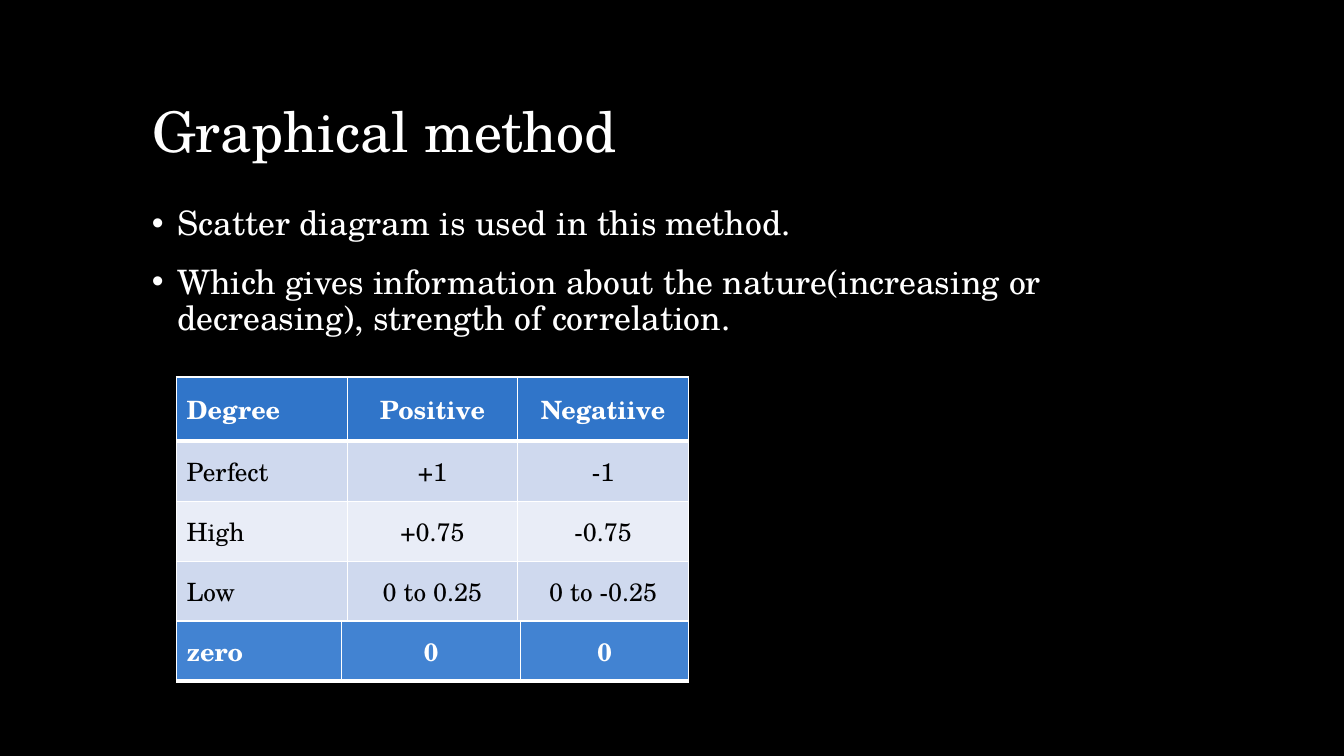
"""Build the slide on the graphical method of correlation."""
from lxml import etree
from pptx import Presentation
from pptx.dml.color import RGBColor
from pptx.enum.text import MSO_ANCHOR, PP_ALIGN
from pptx.oxml.ns import qn
from pptx.util import Cm, Pt

LEFT, CENTER = PP_ALIGN.LEFT, PP_ALIGN.CENTER
BOTTOM, MIDDLE = MSO_ANCHOR.BOTTOM, MSO_ANCHOR.MIDDLE
TITLE_ONLY = 5
COLORS = {
    "background": "000000",
    "light": "FFFFFF",
    "dark": "000000",
    "header": "3075C9",
    "band": "CFD9EE",
    "pale": "E9EDF7",
    "total": "4283D2",
}
POINTS = [
    "Scatter diagram is used in this method.",
    "Which gives information about the nature(increasing or "
    "decreasing), strength of correlation.",
]
DEGREES = [
    ("Degree", "Positive", "Negatiive"),
    ("Perfect", "+1", "-1"),
    ("High", "+0.75", "-0.75"),
    ("Low", "0 to 0.25", "0 to -0.25"),
]
ZERO = [("zero", "0", "0")]
TABLE_LEFT, TABLE_TOP = 4.45, 9.5
HEADER_HEIGHT, ROW_HEIGHT = 1.62, 1.51


class SlideBuilder:
    """Hold the style and the current slide."""

    font = "TeX Gyre Schola"

    def __init__(self, deck):
        """Add a title-only page with a plain background."""
        self.page = deck.slides.add_slide(deck.slide_layouts[TITLE_ONLY])
        fill = self.page.background.fill
        fill.solid()
        fill.fore_color.rgb = self.color("background")

    def color(self, name):
        """Return a named colour."""
        return RGBColor.from_string(COLORS[name])

    def add_span(self, para, text, size, color="light", bold=False):
        """Add one styled run to a paragraph."""
        span = para.add_run()
        span.text = text
        span.font.name = self.font
        span.font.size = Pt(size)
        span.font.bold = bold
        span.font.color.rgb = self.color(color)

    def title(self, text, left, top, width, height):
        """Place and fill the title placeholder."""
        box = self.page.shapes.title
        box.left, box.top, box.width, box.height = map(Cm, (left, top, width, height))
        box.text_frame.vertical_anchor = BOTTOM
        para = box.text_frame.paragraphs[0]
        para.alignment = LEFT
        para.line_spacing = 0.8
        self.add_span(para, text, 40)

    def bullets(self, lines, left, top, width, height):
        """Add a bulleted text box."""
        box = self.page.shapes.add_textbox(*map(Cm, (left, top, width, height)))
        frame = box.text_frame
        frame.word_wrap = True
        for index, line in enumerate(lines):
            para = frame.add_paragraph() if index else frame.paragraphs[0]
            para.line_spacing = 0.9
            para.space_before = Pt(16)
            self.add_span(para, line, 24)
            properties = para._p.get_or_add_pPr()
            properties.set("marL", str(Cm(0.64)))
            properties.set("indent", str(-Cm(0.64)))
            etree.SubElement(properties, qn("a:buFont"), typeface="Arial")
            etree.SubElement(properties, qn("a:buChar"), char="•")

    def borders(self, cell, bottom, top):
        """Draw the four borders of a cell."""
        properties = cell._tc.get_or_add_tcPr()
        for side, width in (("L", 1), ("R", 1), ("T", top), ("B", bottom)):
            line = etree.SubElement(properties, qn(f"a:ln{side}"), w=str(Pt(width)))
            fill = etree.SubElement(line, qn("a:solidFill"))
            etree.SubElement(fill, qn("a:srgbClr"), val=COLORS["light"])

    def table(self, rows, fills, left, top, widths, heights):
        """Add a table; rows in strong colours have bold text and a thick base."""
        size = map(Cm, (left, top, sum(widths), sum(heights)))
        grid = self.page.shapes.add_table(len(rows), len(widths), *size).table
        for column, width in zip(grid.columns, widths):
            column.width = Cm(width)
        above = 1
        for row, texts, fill, height in zip(grid.rows, rows, fills, heights):
            row.height = Cm(height)
            strong = fill in ("header", "total")
            base = 3 if strong else 1
            for index, (cell, text) in enumerate(zip(row.cells, texts)):
                cell.vertical_anchor = MIDDLE
                self.borders(cell, base, above)
                cell.fill.solid()
                cell.fill.fore_color.rgb = self.color(fill)
                para = cell.text_frame.paragraphs[0]
                para.alignment = CENTER if index else LEFT
                self.add_span(para, text, 18, "light" if strong else "dark", strong)
            above = base


def main():
    """Build and save the deck."""
    deck = Presentation()
    deck.slide_width, deck.slide_height = Cm(33.87), Cm(19.05)
    builder = SlideBuilder(deck)
    builder.title("Graphical method", 3.58, 1.07, 26.67, 3.18)
    builder.bullets(POINTS, 3.58, 5.08, 26.67, 12.07)
    heights = [HEADER_HEIGHT] + [ROW_HEIGHT] * 3
    builder.table(DEGREES, ["header", "band", "pale", "band"],
                  TABLE_LEFT, TABLE_TOP, [4.3] * 3, heights)
    builder.table(ZERO, ["total"], TABLE_LEFT, TABLE_TOP + sum(heights),
                  [4.16, 4.51, 4.23], [ROW_HEIGHT])
    deck.save("out.pptx")


if __name__ == "__main__":
    main()
